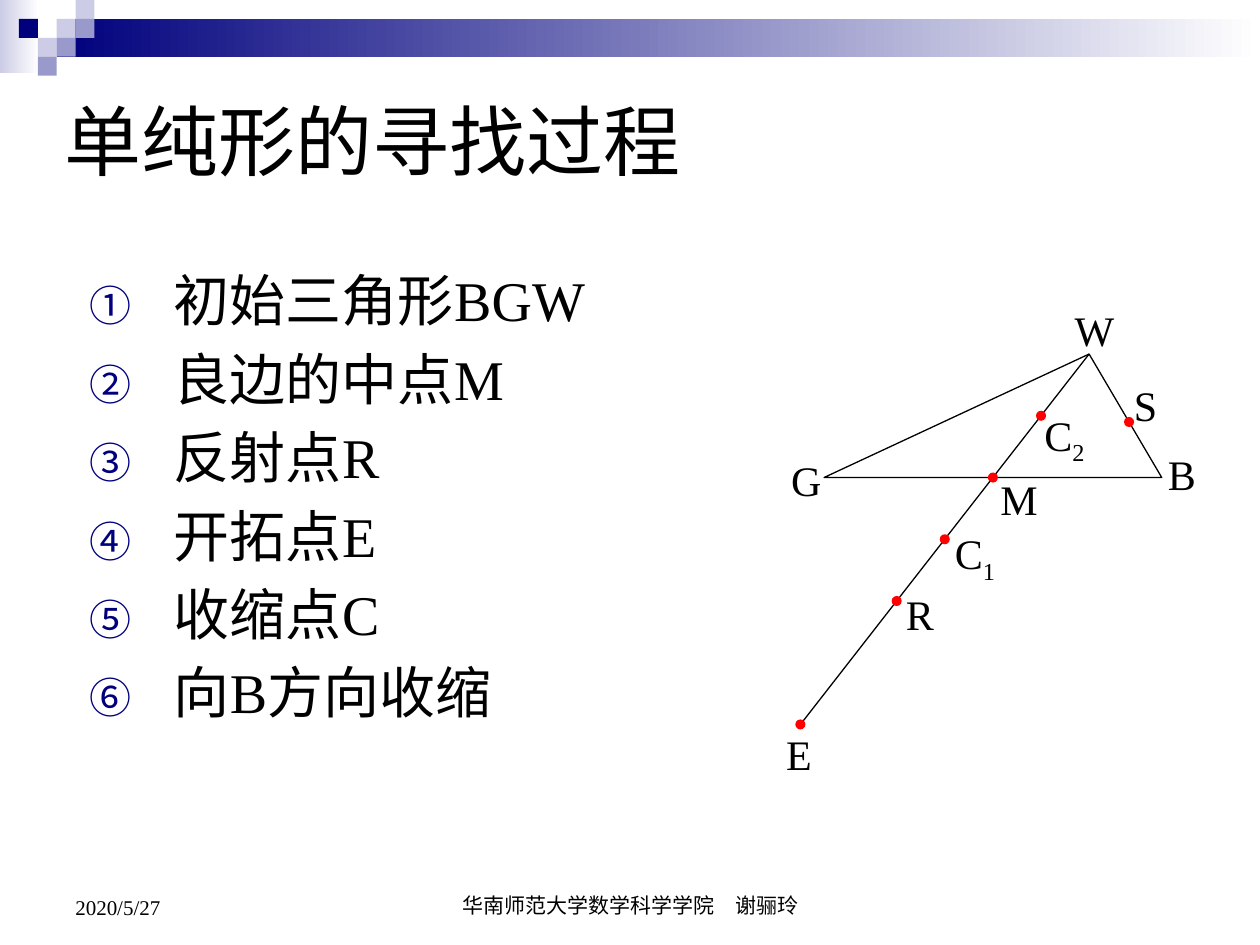
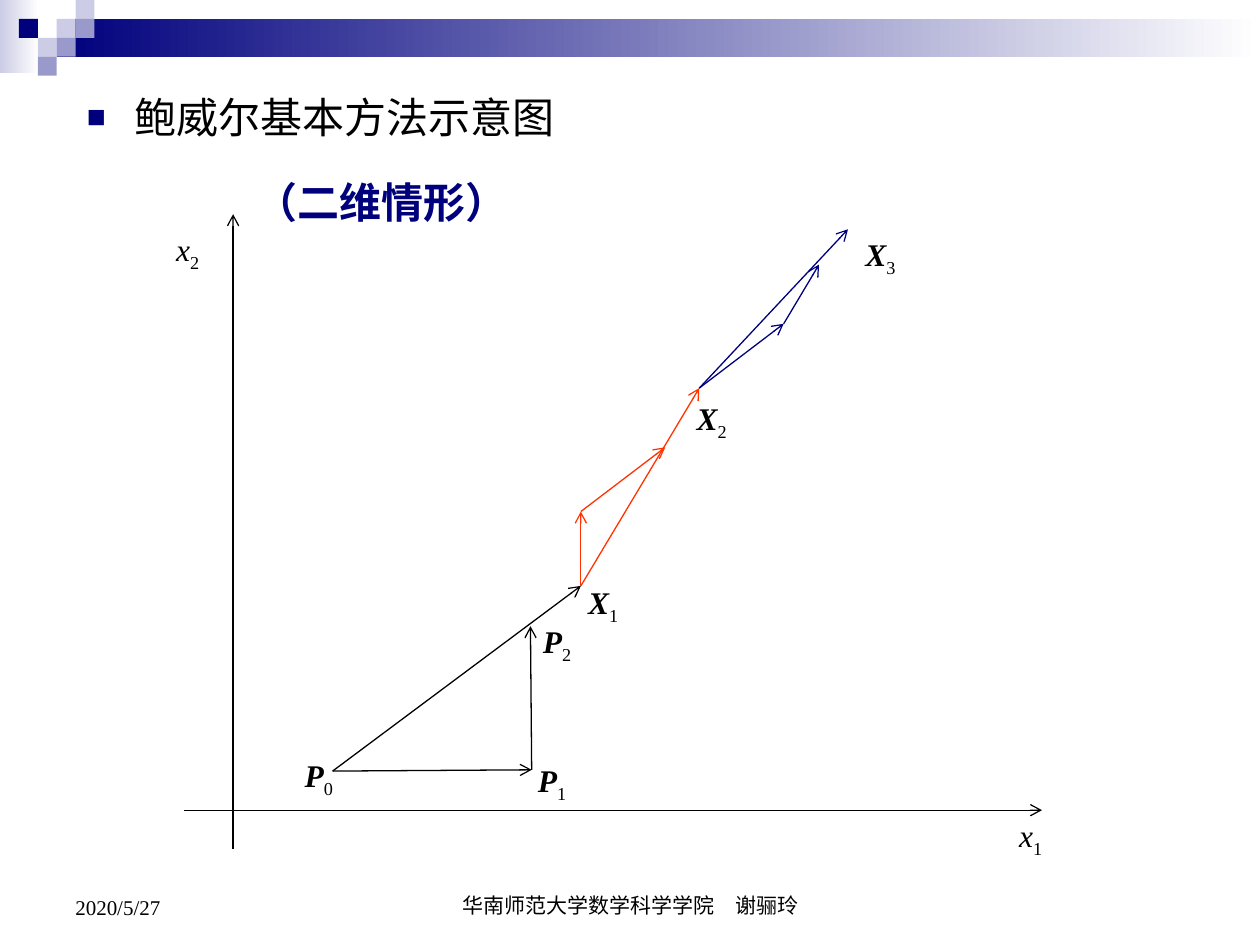
from lxml.etree import SubElement
from pptx import Presentation
from pptx.dml.color import RGBColor
from pptx.enum.shapes import MSO_CONNECTOR, MSO_SHAPE
from pptx.enum.text import MSO_ANCHOR, MSO_AUTO_SIZE, PP_ALIGN
from pptx.oxml.ns import qn
from pptx.util import Inches, Pt

FONT = "Times New Roman"
BLACK, NAVY, RED, ORANGE = "000000", "00007D", "FF0000", "FF3300"
PALE, MIDDLE, WHITE = "CCCCE6", "9999CC", "FFFFFF"
TILE = 0.15


def rgb(code):
    """Turn a hex string into a colour."""
    return RGBColor.from_string(code)


def write(para, text, size=24, color=BLACK, bold=False, italic=False, sub=False):
    """Add one formatted span to a paragraph."""
    span = para.add_run()
    span.text = text
    font = span.font
    font.name, font.size, font.bold, font.italic = FONT, Pt(size), bold, italic
    font.color.rgb = rgb(color)
    if sub:
        span._r.get_or_add_rPr().set("baseline", "-25000")


def space_before(para, percent):
    """Set the space above a paragraph as a share of its line."""
    para.space_before = Pt(0)
    spacing = para._p.pPr.find(qn("a:spcBef"))
    spacing.clear()
    SubElement(spacing, qn("a:spcPct"), val=str(percent * 1000))


def hang(para, indent):
    """Give a paragraph a hanging indent in inches."""
    properties = para._p.get_or_add_pPr()
    properties.set("marL", str(Inches(indent)))
    properties.set("indent", str(-Inches(indent)))


def add_bullet(para, tag, **attributes):
    """Put a navy bullet of the given kind on a paragraph."""
    properties = para._p.get_or_add_pPr()
    SubElement(SubElement(properties, qn("a:buClr")), qn("a:srgbClr"), val=NAVY)
    SubElement(properties, qn("a:buSzPct"), val="75000")
    SubElement(properties, qn("a:buFont"), typeface=FONT)
    SubElement(properties, qn(tag), **attributes)


def place(shape, box, anchor=MSO_ANCHOR.TOP):
    """Move a text shape into a box and return its first paragraph."""
    shape.left, shape.top, shape.width, shape.height = map(Inches, box)
    frame = shape.text_frame
    frame.word_wrap = True
    frame.auto_size = MSO_AUTO_SIZE.NONE
    frame.vertical_anchor = anchor
    return frame.paragraphs[0]


def add_text(page, box, anchor=MSO_ANCHOR.TOP):
    """Add a text box and return its first paragraph."""
    return place(page.shapes.add_textbox(*map(Inches, box)), box, anchor)


def add_shape(page, kind, box, fill=None, line=None):
    """Add a preset shape with a plain fill, a two-colour fade or none."""
    shape = page.shapes.add_shape(kind, *map(Inches, box))
    shape.shadow.inherit = False
    if isinstance(fill, tuple):
        shape.fill.gradient()
        shape.fill.gradient_angle = 0
        for stop, color, position in zip(shape.fill.gradient_stops, fill, (0, 1)):
            stop.color.rgb = rgb(color)
            stop.position = position
    elif fill:
        shape.fill.solid()
        shape.fill.fore_color.rgb = rgb(fill)
    else:
        shape.fill.background()
    if line:
        shape.line.color.rgb = rgb(line)
        shape.line.width = Pt(0.75)
    else:
        shape.line.fill.background()
    return shape


def add_line(page, start, end, color=BLACK, arrow=False):
    """Draw a thin straight line, with an open arrowhead if asked."""
    line = page.shapes.add_connector(
        MSO_CONNECTOR.STRAIGHT, *map(Inches, (*start, *end)))
    line.line.color.rgb = rgb(color)
    line.line.width = Pt(0.75)
    properties = line._element.spPr
    if arrow:
        SubElement(properties.find(qn("a:ln")), qn("a:tailEnd"), type="arrow")
    SubElement(properties, qn("a:effectLst"))


def add_band(page):
    """Draw the fading band and the mosaic of tiles at the top."""
    add_shape(page, MSO_SHAPE.RECTANGLE, (0, 0, 0.31, 0.58), (PALE, WHITE))
    add_shape(page, MSO_SHAPE.RECTANGLE, (0.45, 0.15, 9.55, 0.3), (NAVY, WHITE))
    tiles = [(3, 1, PALE), (4, 0, PALE), (4, 1, MIDDLE), (2, 2, PALE),
             (1, 1, NAVY), (3, 2, MIDDLE), (2, 3, MIDDLE)]
    for column, row, color in tiles:
        box = (column * TILE, row * TILE, TILE, TILE)
        add_shape(page, MSO_SHAPE.RECTANGLE, box, color)


def add_footer(page):
    """Write the date and the author line at the bottom."""
    date = add_text(page, (0.5, 6.83, 2.33, 0.52), MSO_ANCHOR.BOTTOM)
    write(date, "2020/5/27", size=12)
    author = add_text(page, (3.42, 6.83, 3.17, 0.5), MSO_ANCHOR.BOTTOM)
    author.alignment = PP_ALIGN.CENTER
    write(author, "华南师范大学数学科学学院　谢骊玲", size=12)


def add_page(deck):
    """Add a title-and-body page with the shared band and footer."""
    page = deck.slides.add_slide(deck.slide_layouts[1])
    add_band(page)
    add_footer(page)
    return page


def add_steps(page, box, steps):
    """Fill the body with steps numbered in circles."""
    para = place(page.placeholders[1], box)
    for index, step in enumerate(steps):
        if index:
            para = page.placeholders[1].text_frame.add_paragraph()
        hang(para, 0.67)
        space_before(para, 20)
        add_bullet(para, "a:buAutoNum", type="circleNumDbPlain")
        write(para, step, size=32)


def draw_simplex(page, left, top):
    """Draw triangle BGW and the points searched from it."""
    width, height, peak = 2.68, 0.98, 0.785
    triangle = add_shape(page, MSO_SHAPE.ISOSCELES_TRIANGLE,
                         (left, top, width, height), line=BLACK)
    triangle.adjustments[0] = peak
    worst = (left + width * peak, top)
    best = (left + width, top + height)
    middle = (left + width / 2, top + height)

    def along(target, share):
        """Find the point a share of the way from W to a target."""
        return tuple(a + share * (b - a) for a, b in zip(worst, target))

    stops = [along(middle, share) for share in (0, 1, 2, 3)]
    for start, end in zip(stops, stops[1:]):
        add_line(page, start, end)
    dots = [along(middle, share) for share in (0.5, 1, 1.5, 2, 3)]
    for x, y in dots + [along(best, 0.55)]:
        add_shape(page, MSO_SHAPE.OVAL, (x - 0.04, y - 0.04, 0.08, 0.08), RED)

    labels = {"W": (1.89, -0.44), "B": (2.63, 0.7), "G": (-0.36, 0.75),
              "S": (2.36, 0.15), "M": (1.3, 0.9), "R": (0.55, 1.81),
              "E": (-0.4, 2.92), "C2": (1.65, 0.39), "C1": (0.94, 1.33)}
    for name, (x, y) in labels.items():
        para = add_text(page, (left + x, top + y, 0.59, 0.51))
        space_before(para, 20)
        write(para, name[0])
        if name[1:]:
            write(para, name[1:], sub=True)


def draw_powell(page, left, top):
    """Draw the axes, the search steps and their labels."""
    def at(x, y):
        """Place a point relative to the corner of the diagram."""
        return left + x, top + y

    start, corner, turn = at(1.18, 4.42), at(2.76, 4.41), at(2.75, 3.27)
    first, second = at(3.15, 2.95), at(4.09, 1.38)
    rise, side = at(3.15, 2.36), at(3.82, 1.85)
    reach, edge, third = at(4.76, 0.87), at(5.04, 0.4), at(5.27, 0.12)
    arrows = [
        (at(0, 4.73), at(6.81, 4.73), BLACK), (at(0.39, 5.04), at(0.39, 0), BLACK),
        (start, corner, BLACK), (corner, turn, BLACK), (start, first, BLACK),
        (first, rise, ORANGE), (rise, side, ORANGE), (first, second, ORANGE),
        (second, reach, NAVY), (reach, edge, NAVY), (second, third, NAVY),
    ]
    for tail, head, color in arrows:
        add_line(page, tail, head, color, arrow=True)

    labels = {"x1": (6.53, 4.73), "x2": (-0.16, 0.08), "P0": (0.86, 4.25),
              "P1": (2.71, 4.29), "P2": (2.75, 3.19), "X1": (3.11, 2.88),
              "X2": (3.97, 1.42), "X3": (5.31, 0.12)}
    for (letter, number), point in labels.items():
        para = add_text(page, (*at(*point), 0.63, 0.4))
        hang(para, 0.38)
        space_before(para, 50)
        write(para, letter, size=18, bold=letter.isupper(), italic=True)
        write(para, number, size=18, sub=True)


def build_simplex_page(deck):
    """Build the page on the simplex search."""
    page = add_page(deck)
    title = place(page.shapes.title, (0.41, 0.36, 9, 1.5), MSO_ANCHOR.MIDDLE)
    title.alignment = PP_ALIGN.LEFT
    write(title, "单纯形的寻找过程", size=44)
    add_steps(page, (0.61, 2.06, 5.81, 4.25), [
        "初始三角形BGW", "良边的中点M", "反射点R",
        "开拓点E", "收缩点C", "向B方向收缩"])
    draw_simplex(page, 6.54, 2.81)


def build_powell_page(deck):
    """Build the page on the basic Powell method."""
    page = add_page(deck)
    title = page.shapes.title._element
    title.getparent().remove(title)
    heading = place(page.placeholders[1], (0.59, 0.68, 4.45, 0.5))
    hang(heading, 0.38)
    space_before(heading, 50)
    add_bullet(heading, "a:buChar", char="■")
    write(heading, "鲍威尔基本方法示意图")
    case = add_text(page, (1.93, 1.35, 3.31, 0.5))
    hang(case, 0.38)
    space_before(case, 50)
    write(case, "（二维情形）", color=NAVY, bold=True)
    draw_powell(page, 1.46, 1.7)


def main():
    """Build and save the deck."""
    deck = Presentation()
    deck.slide_width, deck.slide_height = Inches(10), Inches(7.5)
    build_simplex_page(deck)
    build_powell_page(deck)
    deck.save("out.pptx")


if __name__ == "__main__":
    main()
